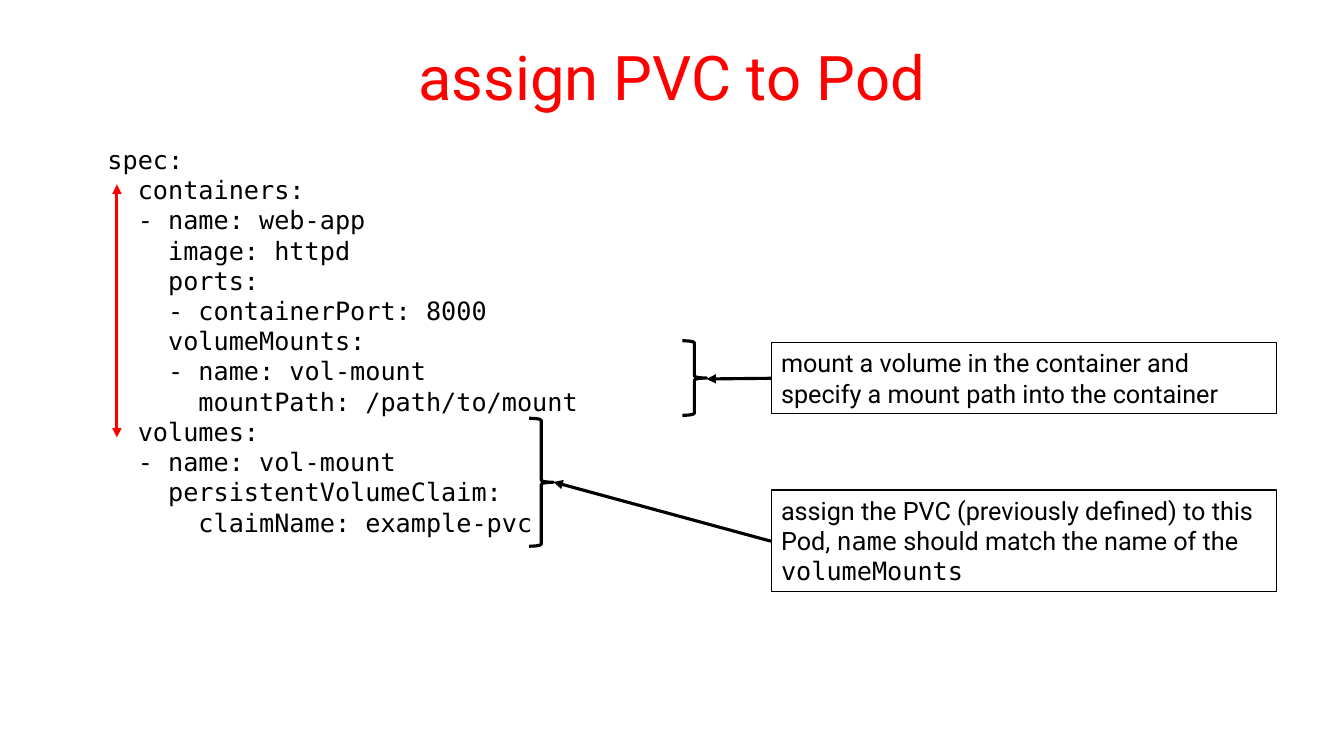
from pptx import Presentation
from pptx.dml.color import RGBColor
from pptx.enum.shapes import MSO_CONNECTOR, MSO_SHAPE
from pptx.enum.text import MSO_ANCHOR, MSO_AUTO_SIZE, PP_ALIGN
from pptx.oxml.ns import qn
from pptx.util import Pt
from lxml.etree import SubElement

SANS, MONO = "Roboto", "DejaVu Sans Mono"
BLACK, WHITE, RED = "000000", "FFFFFF", "FF0000"

CODE = """\
  spec:
    containers:
    - name: web-app
      image: httpd
      ports:
      - containerPort: 8000
      volumeMounts:
      - name: vol-mount
        mountPath: /path/to/mount
    volumes:
    - name: vol-mount
      persistentVolumeClaim:
        claimName: example-pvc"""


def color(code):
    return RGBColor.from_string(code)


class Board:
    """Holds the text and line style and the slide being drawn."""
    size = 18
    thin, thick = 0.75, 2.25

    def __init__(self, slide):
        self.shapes = slide.shapes

    def label(self, shape, paras, size=None, ink=BLACK, align=PP_ALIGN.LEFT):
        """Fill a shape with paragraphs, each a list of (text, font) runs."""
        frame = shape.text_frame
        frame.word_wrap = True
        frame.vertical_anchor = MSO_ANCHOR.TOP
        for i, runs in enumerate(paras):
            para = frame.add_paragraph() if i else frame.paragraphs[0]
            para.alignment = align
            for text, face in runs:
                run = para.add_run()
                run.text = text
                run.font.name = face
                run.font.size = Pt(size or self.size)
                run.font.color.rgb = color(ink)
        return frame

    def text(self, box, paras, **style):
        shape = self.shapes.add_textbox(*map(Pt, box))
        return self.label(shape, paras, **style)

    def shape(self, kind, box, width):
        shape = self.shapes.add_shape(kind, *map(Pt, box))
        shape.shadow.inherit = False
        shape.line.color.rgb = color(BLACK)
        shape.line.width = Pt(width)
        return shape

    def note(self, box, runs):
        shape = self.shape(MSO_SHAPE.RECTANGLE, box, self.thin)
        shape.fill.solid()
        shape.fill.fore_color.rgb = color(WHITE)
        self.label(shape, [runs]).auto_size = MSO_AUTO_SIZE.SHAPE_TO_FIT_TEXT

    def brace(self, box):
        self.shape(MSO_SHAPE.RIGHT_BRACE, box, self.thick).fill.background()

    def arrow(self, start, end, ink=BLACK, ends=("tailEnd",)):
        link = self.shapes.add_connector(
            MSO_CONNECTOR.STRAIGHT, *map(Pt, start + end))
        link.line.color.rgb = color(ink)
        link.line.width = Pt(self.thick)
        props = link._element.spPr
        for tag in ends:
            SubElement(props.find(qn("a:ln")), qn("a:" + tag), type="triangle")
        SubElement(props, qn("a:effectLst"))


def main():
    deck = Presentation()
    deck.slide_width, deck.slide_height = Pt(960), Pt(540)
    board = Board(deck.slides.add_slide(deck.slide_layouts[6]))

    # Title
    title = board.text((48, 9.4, 864, 90), [[("assign PVC to Pod", SANS)]],
                       size=44, ink=RED, align=PP_ALIGN.CENTER)
    title.vertical_anchor = MSO_ANCHOR.MIDDLE

    # Pod manifest
    lines = [[(line, MONO)] for line in CODE.splitlines()]
    code = board.text((48, 99.4, 480, 291), lines)
    code.auto_size = MSO_AUTO_SIZE.SHAPE_TO_FIT_TEXT

    # Mount: note, arrow and brace
    left, wide = 550.8, 360.7
    board.note((left, 244.8, wide, 50.9), [
        ("mount a volume in the container and "
         "specify a mount path into the container", SANS)])
    board.arrow((left, 270.2), (504.7, 270.7))
    board.brace((487.4, 243.4, 17.3, 53.3))

    # Claim: note, arrow and brace
    board.note((left, 350, wide, 72.7), [
        ("assign the PVC (previously defined) to this Pod, ", SANS),
        ("name", MONO),
        (" should match the name of the ", SANS),
        ("volumeMounts", MONO)])
    board.arrow((left, 386.6), (395.3, 344.3))
    board.brace((378, 298.8, 17.3, 91.4))

    # Same indent level of containers and volumes
    board.arrow((83.5, 312.5), (83.5, 131.8), RED, ("headEnd", "tailEnd"))

    deck.save("out.pptx")


if __name__ == "__main__":
    main()
